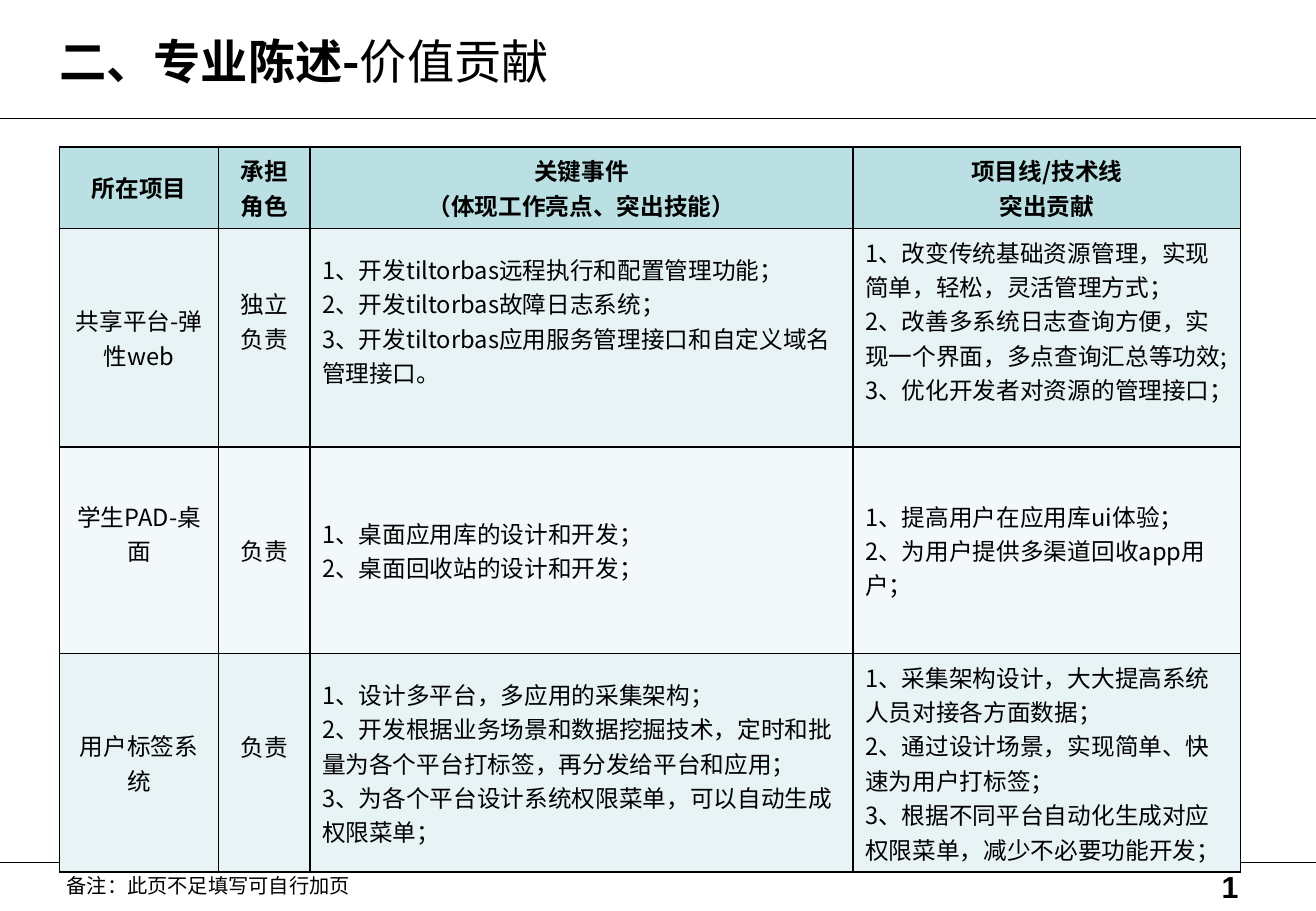
from lxml.etree import SubElement
from pptx import Presentation
from pptx.dml.color import RGBColor
from pptx.enum.shapes import MSO_CONNECTOR
from pptx.enum.text import MSO_ANCHOR, PP_ALIGN
from pptx.oxml.ns import qn
from pptx.util import Inches, Pt

COLORS = {"ink": "000000", "header": "BBE0E3", "band": "E7F3F4", "plain": "F3F9FA"}
CJK = "Noto Sans CJK SC"
INK = RGBColor.from_string(COLORS["ink"])


def add_span(para, text, size, bold=False, font=CJK):
    span = para.add_run()
    span.text = text
    span.font.color.rgb = INK
    for name, value in {"size": Pt(size), "bold": bold, "name": font}.items():
        setattr(span.font, name, value)
    SubElement(span.font._element, qn("a:ea"), typeface=font)


def add_border(cell):
    """Draw a 1 pt line on all four sides of a table cell."""
    properties = cell._tc.get_or_add_tcPr()
    for position, side in enumerate(("a:lnL", "a:lnR", "a:lnT", "a:lnB")):
        line = properties.makeelement(qn(side), {"w": str(Pt(1))})
        fill = SubElement(line, qn("a:solidFill"))
        SubElement(fill, qn("a:srgbClr"), val=COLORS["ink"])
        properties.insert(position, line)


deck = Presentation()
deck.slide_width, deck.slide_height = Inches(10.83), Inches(7.5)
page = deck.slides.add_slide(deck.slide_layouts[6])

# Header and footer rules
for y in (0.97, 7.1):
    rule = page.shapes.add_connector(
        MSO_CONNECTOR.STRAIGHT, 0, Inches(y), deck.slide_width, Inches(y))
    rule.line.color.rgb = INK
    rule.line.width = Pt(0.25)
    SubElement(rule._element.spPr, qn("a:effectLst"))

# Title, note and page number: place, anchor, alignment, spans
texts = [
    ((0.39, 0.17, 9.75, 0.65), MSO_ANCHOR.MIDDLE, PP_ALIGN.LEFT,
     [("二、专业陈述-", 28, True), ("价值贡献", 28)]),
    ((0.45, 7.14, 7.64, 0.36), MSO_ANCHOR.TOP, PP_ALIGN.LEFT,
     [("备注：此页不足填写可自行加页", 12)]),
    ((9.67, 7.1, 0.62, 0.34), MSO_ANCHOR.TOP, PP_ALIGN.RIGHT,
     [("1", 18, True, "Arial")]),
]
for place, anchor, alignment, spans in texts:
    box = page.shapes.add_textbox(*map(Inches, place))
    box.text_frame.word_wrap = True
    box.text_frame.vertical_anchor = anchor
    para = box.text_frame.paragraphs[0]
    para.alignment = alignment
    for span in spans:
        add_span(para, *span)

# Contribution table
column_widths = [1.31, 0.75, 4.47, 3.19]
row_heights = [0.67, 1.8, 1.7, 1.8]
row_fills = ["header", "band", "plain", "band"]
rows = [
    [["所在项目"], ["承担角色"],
     ["关键事件", "（体现工作亮点、突出技能）"],
     ["项目线/技术线", "突出贡献"]],
    [["共享平台-弹性web"], ["独立负责"],
     ["1、开发tiltorbas远程执行和配置管理功能；",
      "2、开发tiltorbas故障日志系统；",
      "3、开发tiltorbas应用服务管理接口和自定义域名管理接口。"],
     ["1、改变传统基础资源管理，实现简单，轻松，灵活管理方式；",
      "2、改善多系统日志查询方便，实现一个界面，多点查询汇总等功效;",
      "3、优化开发者对资源的管理接口；"]],
    [["学生PAD-桌面"], ["负责"],
     ["1、桌面应用库的设计和开发；",
      "2、桌面回收站的设计和开发；"],
     ["1、提高用户在应用库ui体验；",
      "2、为用户提供多渠道回收app用户；"]],
    [["用户标签系统"], ["负责"],
     ["1、设计多平台，多应用的采集架构；",
      "2、开发根据业务场景和数据挖掘技术，定时和批量为各个平台打标签，再分发给平台和应用；",
      "3、为各个平台设计系统权限菜单，可以自动生成权限菜单；"],
     ["1、采集架构设计，大大提高系统人员对接各方面数据；",
      "2、通过设计场景，实现简单、快速为用户打标签；",
      "3、根据不同平台自动化生成对应权限菜单，减少不必要功能开发；"]],
]
raised_cells = {(1, 1), (1, 2), (1, 3), (2, 0), (3, 1)}  # text sits half a line higher

table = page.shapes.add_table(
    len(rows), len(column_widths), Inches(0.49), Inches(1.21),
    Inches(sum(column_widths)), Inches(sum(row_heights))).table
for column, width in zip(table.columns, column_widths):
    column.width = Inches(width)
for row, height in zip(table.rows, row_heights):
    row.height = Inches(height)

for r, row_texts in enumerate(rows):
    for c, lines in enumerate(row_texts):
        cell = table.cell(r, c)
        cell.fill.solid()
        cell.fill.fore_color.rgb = RGBColor.from_string(COLORS[row_fills[r]])
        add_border(cell)
        cell.vertical_anchor = MSO_ANCHOR.MIDDLE
        if (r, c) in raised_cells:
            cell.margin_bottom = Inches(0.33)
        for i, text in enumerate(lines):
            frame = cell.text_frame
            para = frame.add_paragraph() if i else frame.paragraphs[0]
            para.alignment = PP_ALIGN.CENTER if r == 0 or c < 2 else PP_ALIGN.LEFT
            add_span(para, text, 14, bold=r == 0)

deck.save("out.pptx")
